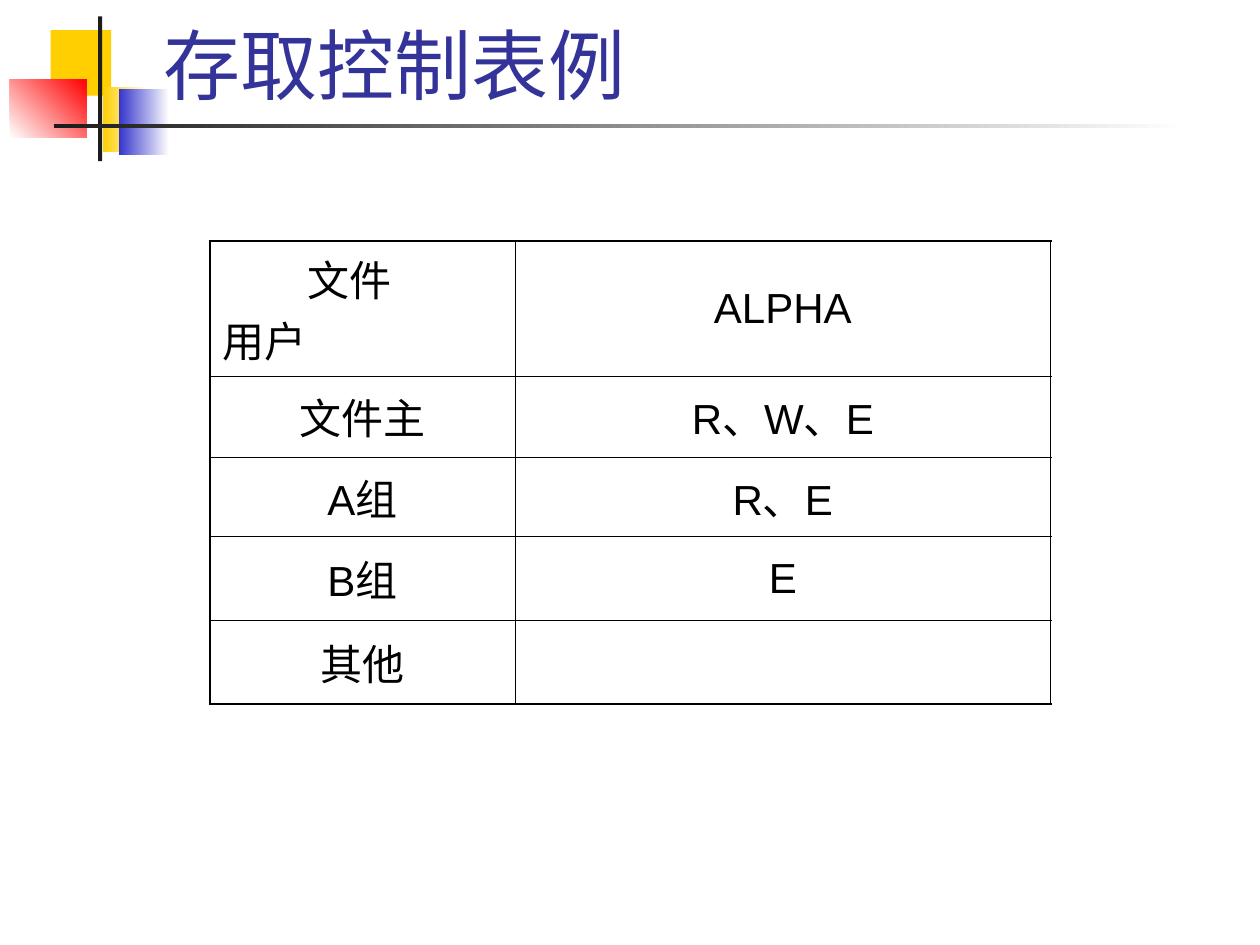
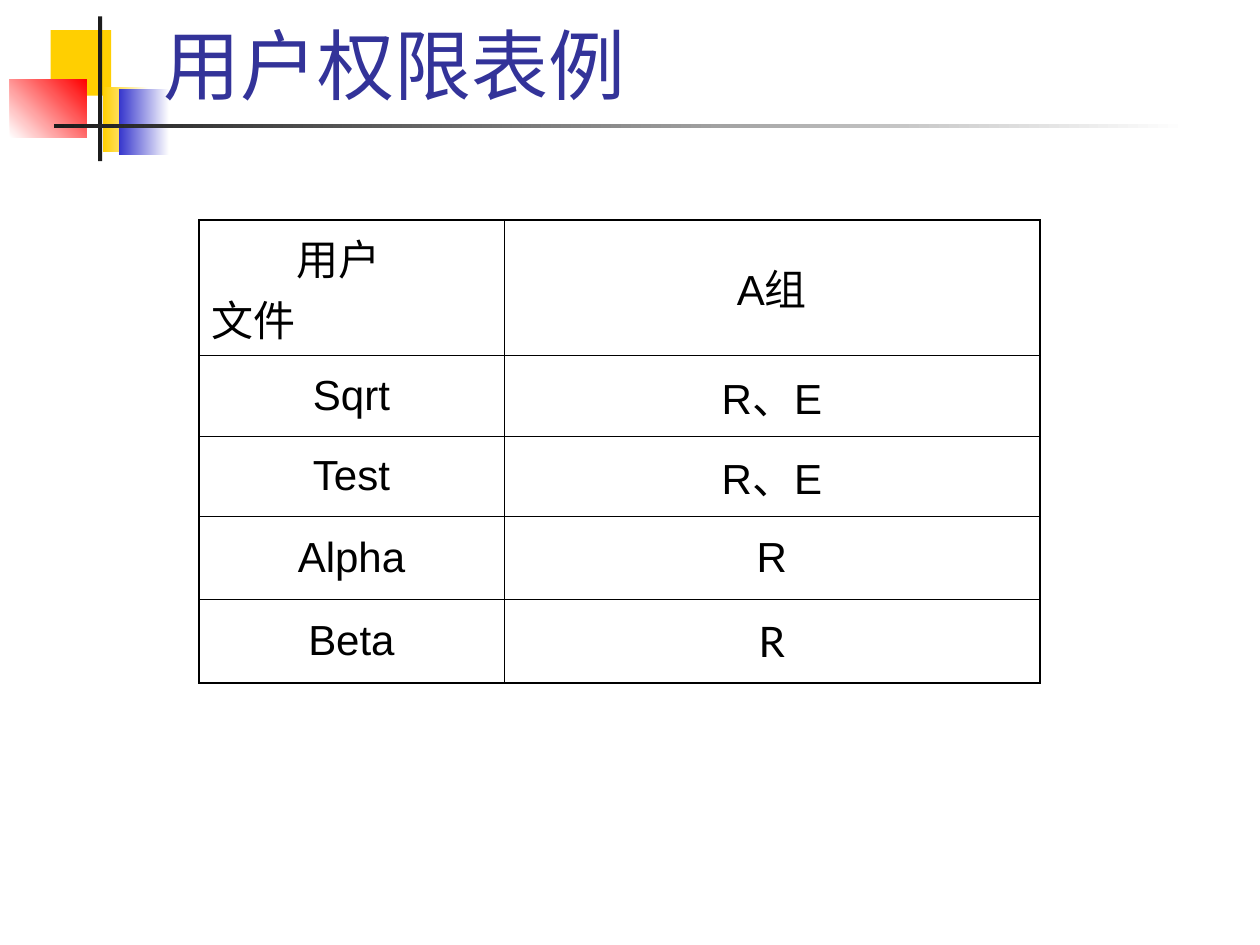
from lxml import etree
from pptx import Presentation
from pptx.dml.color import RGBColor
from pptx.enum import shapes, text
from pptx.oxml.ns import qn
from pptx.util import Cm, Pt

COLOURS = {
    "yellow": "FFCF01",
    "blue": "3333CC",
    "red": "FF0000",
    "dark": "1C1C1C",
    "white": "FFFFFF",
    "title": "333399",
    "ink": "000000",
}
TITLE_FONT = {"name": "Lato", "size": Pt(44), "bold": False}
CELL_FONT = {"name": "Arial", "size": Pt(24), "bold": False}

# left, top, width, height in cm; one colour or a gradient pair; angle
ORNAMENTS = [
    ((1.02, 0.61, 1.22, 1.32), ["yellow"], 0),
    ((2.08, 1.75, 0.91, 1.32), ["yellow", "white"], 0),
    ((2.39, 1.8, 1.02, 1.32), ["blue", "white"], 0),
    ((0.2, 1.6, 1.55, 1.17), ["white", "red"], 45),
    ((1.98, 0.33, 0.08, 2.92), ["dark"], 0),
    ((1.09, 2.51, 22.86, 0.08), ["dark", "white"], 0),
]
TITLE_BOX = (3.05, 0.43, 21.64, 1.91)
COLUMN_WIDTHS = (6.15, 10.8)
ROW_HEIGHTS = (2.72, 1.64, 1.6, 1.69, 1.68)
CORNER_INDENT = 1.71
OUTER_LINE, INNER_LINE = 1.08, 0.45


def rgb(name):
    return RGBColor.from_string(COLOURS[name])


def format_font(font, values, colour):
    for name, value in values.items():
        setattr(font, name, value)
    font.color.rgb = rgb(colour)


def add_block(page, place, colours, angle):
    block = page.shapes.add_shape(shapes.MSO_SHAPE.RECTANGLE, *map(Cm, place))
    block.shadow.inherit = False
    block.line.fill.background()
    if len(colours) == 1:
        block.fill.solid()
        block.fill.fore_color.rgb = rgb(colours[0])
    else:
        block.fill.gradient()
        block.fill.gradient_angle = angle
        for stop, colour in zip(block.fill.gradient_stops, colours):
            stop.color.rgb = rgb(colour)
    return block


def decorate_layout(page):
    """Draw the ornaments on a page, then move them to its layout."""
    blocks = [add_block(page, *ornament) for ornament in ORNAMENTS]
    for number, block in enumerate(blocks, start=20):
        block.element.nvSpPr.cNvPr.set("id", str(number))
        page.slide_layout.shapes.element.append(block.element)


def set_title(page, words):
    title = page.shapes.title
    for side, length in zip(("left", "top", "width", "height"), TITLE_BOX):
        setattr(title, side, Cm(length))
    frame = title.text_frame
    frame.text = words
    frame.auto_size = text.MSO_AUTO_SIZE.NONE
    frame.vertical_anchor = text.MSO_ANCHOR.BOTTOM
    para = frame.paragraphs[0]
    para.alignment = text.PP_ALIGN.LEFT
    format_font(para.runs[0].font, TITLE_FONT, "title")


def set_borders(cell, row, column):
    outer_sides = {
        "lnL": column == 0,
        "lnR": column == len(COLUMN_WIDTHS) - 1,
        "lnT": row == 0,
        "lnB": row == len(ROW_HEIGHTS) - 1,
    }
    properties = cell._tc.get_or_add_tcPr()
    for side, is_outer in outer_sides.items():
        width = Pt(OUTER_LINE if is_outer else INNER_LINE)
        line = etree.SubElement(properties, qn(f"a:{side}"), w=str(width))
        fill = etree.SubElement(line, qn("a:solidFill"))
        etree.SubElement(fill, qn("a:srgbClr"), val=COLOURS["ink"])


def fill_cell(cell, words, alignment, anchor):
    cell.vertical_anchor = anchor
    cell.text_frame.text = words
    for para in cell.text_frame.paragraphs:
        para.alignment = alignment
        format_font(para.font, CELL_FONT, "ink")
        for span in para.runs:
            format_font(span.font, CELL_FONT, "ink")


def add_rights_table(page, left, top, corner, rows):
    """Add a two-column table whose corner names both of its axes."""
    frame = page.shapes.add_table(
        len(ROW_HEIGHTS), len(COLUMN_WIDTHS), Cm(left), Cm(top),
        Cm(sum(COLUMN_WIDTHS)), Cm(sum(ROW_HEIGHTS)))
    table = frame.table
    table.first_row = table.horz_banding = False
    for column, width in zip(table.columns, COLUMN_WIDTHS):
        column.width = Cm(width)
    for row, height in zip(table.rows, ROW_HEIGHTS):
        row.height = Cm(height)
    for row, entries in enumerate([("\n".join(corner), rows[0]), *rows[1:]]):
        for column, words in enumerate(entries):
            cell = table.cell(row, column)
            set_borders(cell, row, column)
            cell.fill.background()
            fill_cell(cell, words, text.PP_ALIGN.CENTER, text.MSO_ANCHOR.MIDDLE)
    corner_cell = table.cell(0, 0)
    corner_cell.vertical_anchor = text.MSO_ANCHOR.TOP
    for para in corner_cell.text_frame.paragraphs:
        para.alignment = text.PP_ALIGN.JUSTIFY
    first = corner_cell.text_frame.paragraphs[0]
    first._p.get_or_add_pPr().set("indent", str(Cm(CORNER_INDENT)))
    return table


def main():
    deck = Presentation()
    deck.slide_width, deck.slide_height = Cm(25.4), Cm(19.05)
    title_only = deck.slide_layouts[5]

    access_page = deck.slides.add_slide(title_only)
    decorate_layout(access_page)
    set_title(access_page, "存取控制表例")
    add_rights_table(access_page, 4.23, 4.86, ("文件", "用户"), [
        "ALPHA",
        ("文件主", "R、W、E"),
        ("A组", "R、E"),
        ("B组", "E"),
        ("其他", ""),
    ])

    user_page = deck.slides.add_slide(title_only)
    set_title(user_page, "用户权限表例")
    user_table = add_rights_table(user_page, 4.01, 4.44, ("用户", "文件"), [
        "A组",
        ("Sqrt", "R、E"),
        ("Test", "R、E"),
        ("Alpha", "R"),
        ("Beta", "R"),
    ])
    beta_right = user_table.cell(4, 1).text_frame.paragraphs[0].runs[0]
    beta_right.font.name = "Lato"

    deck.save("out.pptx")


if __name__ == "__main__":
    main()
